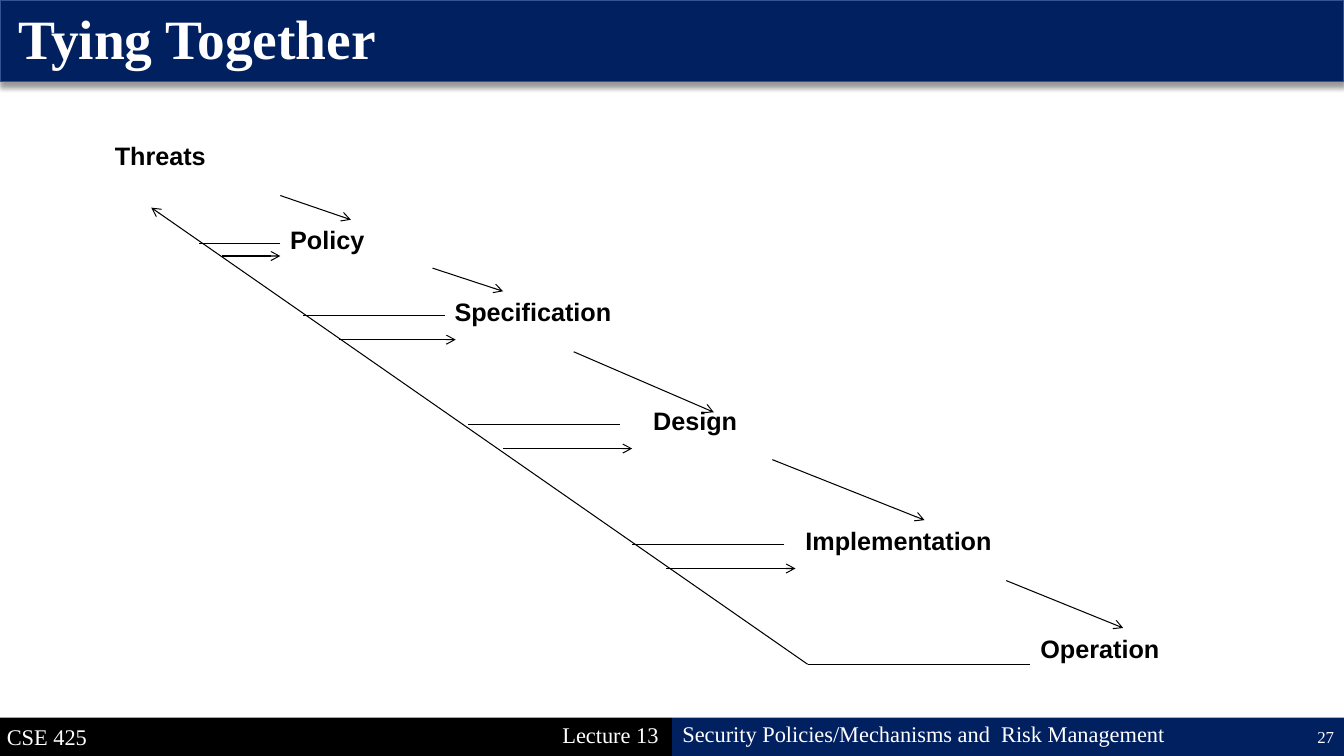
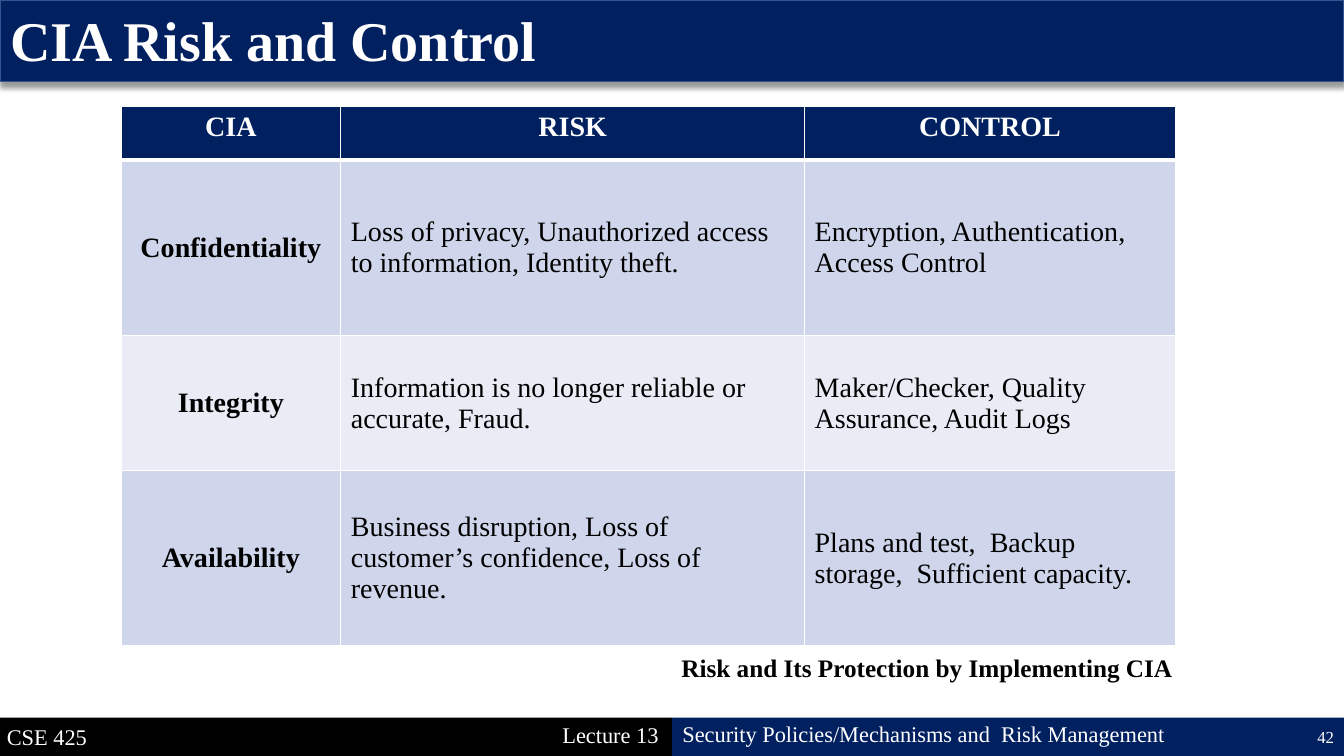
from lxml import etree
from pptx import Presentation
from pptx.dml.color import RGBColor
from pptx.enum import shapes, text
from pptx.oxml import parse_xml
from pptx.oxml.ns import nsdecls, qn
from pptx.util import Inches, Pt

NAVY = RGBColor(0x00, 0x20, 0x60)
EDGE = RGBColor(0x32, 0x54, 0x91)
BLACK = RGBColor(0x00, 0x00, 0x00)
WHITE = RGBColor(0xFF, 0xFF, 0xFF)
ROW_FILLS = (RGBColor(0xCF, 0xD5, 0xEA), RGBColor(0xE9, 0xEB, 0xF5))
SERIF = "Times New Roman"
SANS = "Arial"
WIDTH, HEIGHT = 13.33, 7.5
TITLE_BAND = 0.81
FOOTER_BAND = 0.38

STAGES = [
    ("Threats", 0.04, 0.34, 1.11),
    ("Policy", 1.78, 1.18, 0.95),
    ("Specification", 3.41, 1.89, 1.77),
    ("Design", 5.38, 2.97, 1.04),
    ("Implementation", 6.89, 4.16, 2.07),
    ("Operation", 9.22, 5.23, 1.39),
]
FORWARD_ARROWS = [
    (1.78, 0.94, 2.48, 1.18),
    (3.29, 1.66, 3.99, 1.89),
    (4.69, 2.49, 6.08, 3.09),
    (6.66, 3.56, 8.17, 4.16),
    (8.98, 4.76, 10.14, 5.23),
    (7.01, 5.59, 0.5, 1.06),
]
BRANCH_LINES = [
    (7.01, 9.22, 5.59),
    (6.78, 5.27, 4.4),
    (5.15, 3.64, 3.21),
    (3.41, 2.01, 2.13),
    (1.78, 0.97, 1.42),
]
BRANCH_ARROWS = [
    (5.61, 6.89, 4.64),
    (3.99, 5.27, 3.45),
    (2.36, 3.52, 2.37),
    (1.2, 1.78, 1.54),
]
RISKS = [
    ("CIA", "RISK", "CONTROL"),
    ("Confidentiality",
     "Loss of privacy, Unauthorized access to information, Identity theft.",
     "Encryption, Authentication,  Access Control"),
    ("Integrity",
     "Information is no longer reliable or accurate, Fraud.",
     "Maker/Checker, Quality Assurance, Audit Logs"),
    ("Availability",
     "Business disruption, Loss of customer’s confidence, Loss of revenue.",
     "Plans and test,  Backup storage,  Sufficient capacity."),
]
COLUMN_WIDTHS = (2.18, 4.6, 3.68)
ROW_HEIGHTS = (0.53, 1.74, 1.34, 1.74)


def style(paragraph, size, color, name=SERIF, bold=False):
    """Set the font of a whole paragraph."""
    font = paragraph.font
    font.name, font.size, font.bold = name, Pt(size), bold
    font.color.rgb = color


def add_band(slide, left, top, width, height, color):
    """Add a plain filled rectangle."""
    band = slide.shapes.add_shape(
        shapes.MSO_SHAPE.RECTANGLE, *map(Inches, (left, top, width, height)))
    band.shadow.inherit = False
    band.fill.solid()
    band.fill.fore_color.rgb = color
    band.line.fill.background()
    return band


def add_label(slide, words, left, top, width, height=0.4, size=18,
              color=BLACK, name=SERIF, bold=False):
    """Add a one-line text box and return it."""
    label = slide.shapes.add_textbox(*map(Inches, (left, top, width, height)))
    label.text_frame.word_wrap = False
    label.text_frame.text = words
    style(label.text_frame.paragraphs[0], size, color, name, bold)
    return label


def add_line(slide, left, top, points, arrow=False):
    """Add a thin line between two points relative to a corner."""
    x1, y1, x2, y2 = points
    line = slide.shapes.add_connector(
        shapes.MSO_CONNECTOR.STRAIGHT,
        *map(Inches, (left + x1, top + y1, left + x2, top + y2)))
    line.line.color.rgb = BLACK
    line.line.width = Pt(0.75)
    if arrow:
        etree.SubElement(line.line._get_or_add_ln(), qn("a:tailEnd"), type="arrow")
    etree.SubElement(line._element.spPr, qn("a:effectLst"))


def add_title(slide, words, left, top, width, height, size, spacing):
    """Add the shadowed title band with the slide title on it."""
    band = add_band(slide, 0, 0, WIDTH, TITLE_BAND, NAVY)
    band.line.color.rgb = EDGE
    band.line.width = Pt(1)
    properties = band._element.spPr
    properties.remove(properties.find(qn("a:effectLst")))
    properties.append(parse_xml(
        f'<a:effectLst {nsdecls("a")}><a:outerShdw blurRad="{Pt(4)}" '
        f'dist="{Pt(3)}" dir="5400000" algn="t" rotWithShape="0">'
        '<a:srgbClr val="000000"><a:alpha val="40000"/></a:srgbClr>'
        '</a:outerShdw></a:effectLst>'))
    title = slide.shapes.title
    title.left, title.top, title.width, title.height = map(
        Inches, (left, top, width, height))
    frame = title.text_frame
    frame.text = words
    frame.auto_size = text.MSO_AUTO_SIZE.NONE
    frame.vertical_anchor = text.MSO_ANCHOR.MIDDLE
    paragraph = frame.paragraphs[0]
    paragraph.alignment = text.PP_ALIGN.LEFT
    paragraph.line_spacing = spacing
    style(paragraph, size, WHITE, bold=True)
    slide.shapes._spTree.append(title._element)


def add_footer(slide, number):
    """Add the two-colour footer with course, lecture, topic and number."""
    top, half = HEIGHT - FOOTER_BAND, WIDTH / 2
    add_band(slide, half, top, half, FOOTER_BAND, NAVY)
    add_band(slide, 0, top, half, FOOTER_BAND, BLACK)
    for words, left, offset, width in (
            ("CSE 425", -0.03, 0, 1),
            ("Lecture 13", 5.48, -0.01, 1.17),
            ("Security Policies/Mechanisms and  Risk Management", 6.67, -0.02, 5.06)):
        add_label(slide, words, left, top + offset, width, 0.37, 16, WHITE)
    label = add_label(slide, str(number), WIDTH - 3, top - 0.01, 3,
                      size=12, color=WHITE)
    label.text_frame.word_wrap = True
    label.text_frame.vertical_anchor = text.MSO_ANCHOR.MIDDLE
    label.text_frame.paragraphs[0].alignment = text.PP_ALIGN.RIGHT


def add_life_cycle(slide, left, top):
    """Draw the stages, the arrows between them and the feedback line."""
    for words, x, y, width in STAGES:
        add_label(slide, words, left + x, top + y, width, name=SANS, bold=True)
    for points in FORWARD_ARROWS:
        add_line(slide, left, top, points, arrow=True)
    for branches, arrow in ((BRANCH_LINES, False), (BRANCH_ARROWS, True)):
        for start, end, y in branches:
            add_line(slide, left, top, (start, y, end, y), arrow)


def set_borders(cell, bottom, top):
    """Give a cell white borders with the given bottom and top widths."""
    properties = cell._tc.get_or_add_tcPr()
    for side, width in (("L", 1), ("R", 1), ("T", top), ("B", bottom)):
        properties.append(parse_xml(
            f'<a:ln{side} {nsdecls("a")} w="{Pt(width)}"><a:solidFill>'
            f'<a:srgbClr val="{WHITE}"/></a:solidFill></a:ln{side}>'))


def add_risk_table(slide, left, top):
    """Add the table of risks and controls."""
    table = slide.shapes.add_table(
        len(RISKS), len(COLUMN_WIDTHS), Inches(left), Inches(top),
        Inches(sum(COLUMN_WIDTHS)), Inches(sum(ROW_HEIGHTS))).table
    for column, width in zip(table.columns, COLUMN_WIDTHS):
        column.width = Inches(width)
    for i, (words, height) in enumerate(zip(RISKS, ROW_HEIGHTS)):
        header = i == 0
        table.rows[i].height = Inches(height)
        for j, content in enumerate(words):
            cell = table.cell(i, j)
            cell.text = content
            set_borders(cell, 3 if header else 1, 3 if i == 1 else 1)
            cell.fill.solid()
            cell.fill.fore_color.rgb = NAVY if header else ROW_FILLS[(i - 1) % 2]
            if not header:
                cell.vertical_anchor = text.MSO_ANCHOR.MIDDLE
            strong = header or j == 0
            paragraph = cell.text_frame.paragraphs[0]
            paragraph.alignment = (
                text.PP_ALIGN.CENTER if strong else text.PP_ALIGN.LEFT)
            style(paragraph, 20, WHITE if header else BLACK, bold=strong)


def add_slide(presentation, number, *title):
    """Add a title-only slide with its title band and footer."""
    slide = presentation.slides.add_slide(presentation.slide_layouts[5])
    add_footer(slide, number)
    add_title(slide, *title)
    return slide


def main():
    """Build and save the presentation."""
    presentation = Presentation()
    presentation.slide_width = Inches(WIDTH)
    presentation.slide_height = Inches(HEIGHT)
    slide = add_slide(presentation, 27, "Tying Together",
                      0.08, 0.09, 11.5, 0.65, 39.6, 0.9)
    add_life_cycle(slide, 1, 1)
    slide = add_slide(presentation, 42, "CIA Risk and Control",
                      0, 0, 5.48, 0.77, 40, 1.0)
    add_risk_table(slide, 1.2, 1.06)
    add_label(slide, "Risk and Its Protection by Implementing CIA",
              6.66, 6.42, 5.12, bold=True).text_frame.word_wrap = True
    presentation.save("out.pptx")


if __name__ == "__main__":
    main()
